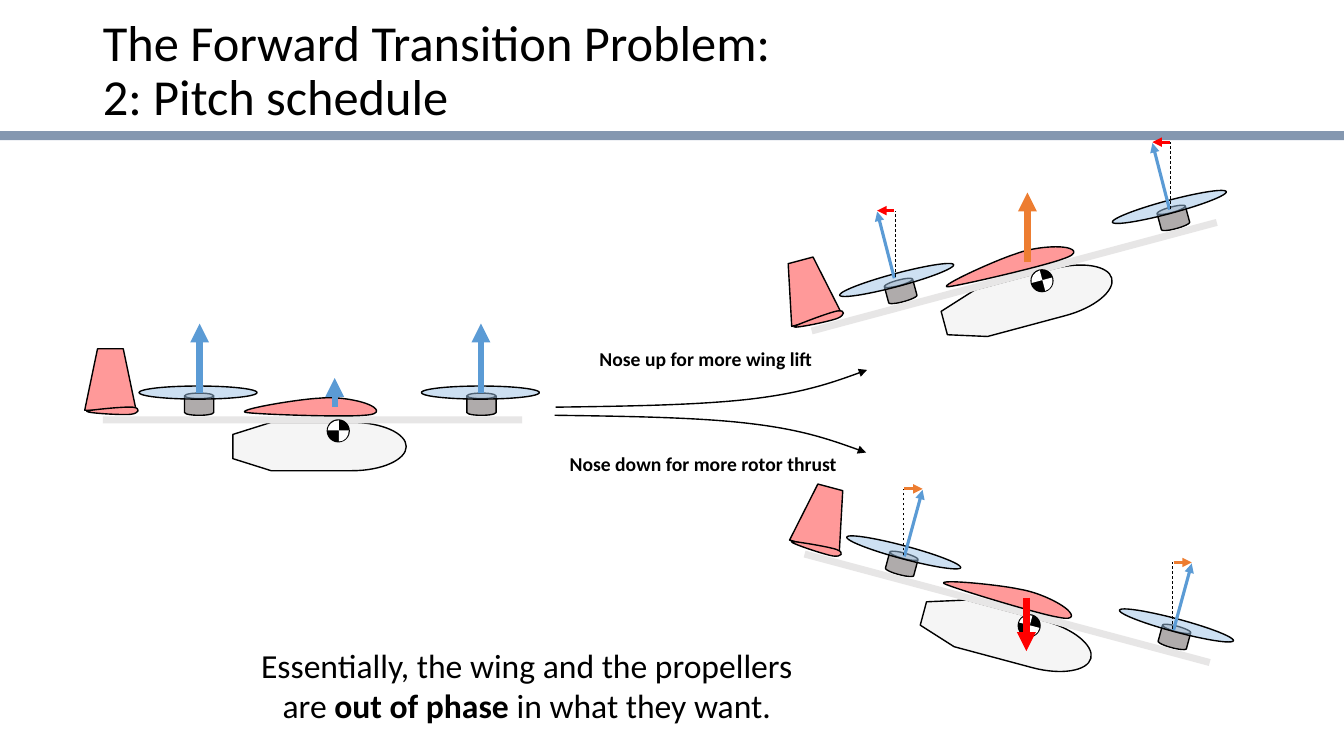
import math
from lxml import etree
from pptx import Presentation
from pptx import util as u
from pptx.dml.color import RGBColor
from pptx.enum import dml, shapes, text
from pptx.oxml.ns import qn

G = shapes.MSO_SHAPE
BLACK, WHITE, PINK, BLUE, ORANGE, RED = "000000", "FFFFFF", "FF9999", "5B9BD5", "ED7D31", "FF0000"
BOOM = (1.02, 4.13, 4.16, 0.07)
ROTOR_GAP = 2.8
FUSELAGE = [[(2.69, 4.19), (3.49, 4.19), (3.79, 4.19, 4.03, 4.3, 4.03, 4.43),
             (4.03, 4.56, 3.79, 4.67, 3.49, 4.67), (2.69, 4.67), (2.31, 4.55), (2.31, 4.31)]]
TAILPLANE = [[(0.86, 4.08), (0.86, 4.1, 1.23, 4.12, 1.3, 4.11),
              (1.38, 4.1, 1.4, 4.05, 1.32, 4.04), (1.25, 4.03, 0.86, 4.07, 0.86, 4.08)]]
WING = [[(2.43, 4.09), (2.51, 4.11, 3.41, 4.14, 3.61, 4.12), (3.81, 4.11, 3.73, 4.04, 3.65, 4.01),
         (3.58, 3.98, 3.37, 3.93, 3.17, 3.95), (2.96, 3.96, 2.36, 4.06, 2.43, 4.09)]]
QUARTERS = [[(3.36, 4.27), (3.36, 4.17), (3.3, 4.17, 3.25, 4.22, 3.25, 4.27)],
            [(3.46, 4.27), (3.36, 4.27), (3.36, 4.38), (3.42, 4.38, 3.46, 4.33, 3.46, 4.27)]]


def color(value):
    return RGBColor.from_string(value)


def inches(*values):
    return [u.Inches(v) for v in values]


def style(sp, fill=None, line=None, alpha=None):
    sp.shadow.inherit = False
    if fill:
        sp.fill.solid()
        sp.fill.fore_color.rgb = color(fill)
        if alpha:
            clr = sp._element.spPr.find(".//" + qn("a:srgbClr"))
            etree.SubElement(clr, qn("a:alpha")).set("val", str(alpha * 1000))
    else:
        sp.fill.background()
    if line:
        sp.line.color.rgb = color(line)
        sp.line.width = u.Pt(1)
    else:
        sp.line.fill.background()
    return sp


def arrowhead(sp):
    ln = sp._element.spPr.find(qn("a:ln"))
    etree.SubElement(ln, qn("a:tailEnd")).set("type", "triangle")


def preset(parent, kind, box, fill, line=None, alpha=None):
    return style(parent.add_shape(kind, *inches(*box)), fill, line, alpha)


def segment(geom, tag, coords, left, top):
    el = etree.SubElement(geom, qn(tag))
    for x, y in zip(coords[::2], coords[1::2]):
        pt = etree.SubElement(el, qn("a:pt"))
        pt.set("x", str(u.Inches(x - left)))
        pt.set("y", str(u.Inches(y - top)))


def outline(parent, box, contours, fill=None, line=None):
    builder = parent.build_freeform(*inches(*contours[0][0]))
    builder.add_line_segments([inches(*c[-2:]) for c in contours[0][1:]], close=bool(fill))
    sp = builder.convert_to_shape()
    sp.left, sp.top, sp.width, sp.height = inches(*box)
    geom = sp._element.spPr.find(".//" + qn("a:path"))
    for el in list(geom):
        geom.remove(el)
    geom.set("w", str(sp.width))
    geom.set("h", str(sp.height))
    for start, *curves in contours:
        segment(geom, "a:moveTo", start, *box[:2])
        for c in curves:
            segment(geom, "a:lnTo" if len(c) == 2 else "a:cubicBezTo", c, *box[:2])
        if fill:
            etree.SubElement(geom, qn("a:close"))
    return style(sp, fill, line)


def connector(parent, start, end, rgb, width, dashed=False):
    sp = parent.add_connector(shapes.MSO_CONNECTOR.STRAIGHT, *inches(*start, *end))
    sp.line.color.rgb = color(rgb)
    sp.line.width = u.Pt(width)
    etree.SubElement(sp._element.spPr, qn("a:effectLst"))
    if dashed:
        sp.line.dash_style = dml.MSO_LINE.DASH
    else:
        arrowhead(sp)


def pose(sp, left, top, angle):
    a = math.radians(angle)
    half_w, half_h = inches(BOOM[2] / 2, BOOM[3] / 2)
    dx = sp.left + sp.width / 2 - u.Inches(BOOM[0]) - half_w
    dy = sp.top + sp.height / 2 - u.Inches(BOOM[1]) - half_h
    x = u.Inches(left) + half_w + dx * math.cos(a) - dy * math.sin(a)
    y = u.Inches(top) + half_h + dx * math.sin(a) + dy * math.cos(a)
    sp.left, sp.top = round(x - sp.width / 2), round(y - sp.height / 2)
    sp.rotation = angle


def aircraft(s, left=BOOM[0], top=BOOM[1], angle=0):
    g = s.shapes.add_group_shape().shapes
    parts = [outline(g, (2.31, 4.19, 1.73, 0.48), FUSELAGE, "F5F5F5", BLACK),
             preset(g, G.TRAPEZOID, (0.84, 3.46, 0.51, 0.61), PINK, BLACK)]
    parts += [preset(g, G.CAN, (1.83 + dx, 3.9, 0.29, 0.22), "AFABAB", BLACK) for dx in (0, ROTOR_GAP)]
    parts.append(preset(g, G.RECTANGLE, BOOM, "E7E6E6"))
    parts += [preset(g, G.OVAL, (1.38 + dx, 3.83, 1.17, 0.13), "9DC3E6", BLACK, 50)
              for dx in (ROTOR_GAP, 0)]
    parts += [outline(g, (0.86, 4.04, 0.51, 0.07), TAILPLANE, PINK, BLACK),
              outline(g, (2.43, 3.95, 1.31, 0.18), WING, PINK, BLACK),
              preset(g, G.OVAL, (3.24, 4.16, 0.23, 0.23), BLACK),
              outline(g, (3.25, 4.17, 0.21, 0.21), QUARTERS, WHITE)]
    for sp in parts:
        pose(sp, left, top, angle)
    return g


def tilted_thrust(g, x, y, lean, rgb):
    connector(g, (x, y), (x + lean, y - 0.66), BLUE, 2.25)
    connector(g, (x, y - 0.67), (x + lean, y - 0.67), rgb, 2.25)
    plumb = x - math.copysign(0.01, lean)
    connector(g, (plumb, y - 0.01), (plumb, y - 0.67), BLACK, 0.5, True)


def path_arrow(s, box, start, *curves):
    arrowhead(outline(s.shapes, box, [[start, *curves]], line=BLACK))


def add_run(p, content, size, bold=False):
    r = p.add_run()
    r.text = content
    r.font.name, r.font.size, r.font.bold = "Calibri", u.Pt(size), bold
    r.font.color.rgb = color(BLACK)


def label(s, box, size, *runs):
    sp = s.shapes.add_textbox(*inches(*box))
    tf = sp.text_frame
    tf.word_wrap = True
    tf.auto_size = text.MSO_AUTO_SIZE.SHAPE_TO_FIT_TEXT
    p = tf.paragraphs[0]
    p.alignment = text.PP_ALIGN.CENTER
    for content, bold in runs:
        add_run(p, content, size, bold)


def title(s, *lines):
    sp = s.shapes.title
    sp.left, sp.top, sp.width, sp.height = inches(0.92, 0.2, 11.5, 1.03)
    tf = sp.text_frame
    tf.word_wrap = True
    tf.auto_size = text.MSO_AUTO_SIZE.NONE
    tf.vertical_anchor = text.MSO_ANCHOR.MIDDLE
    p = tf.paragraphs[0]
    p.alignment = text.PP_ALIGN.LEFT
    p.line_spacing = 0.9
    for i, line in enumerate(lines):
        if i:
            p.add_line_break()
        add_run(p, line, 36)


def main():
    prs = Presentation()
    prs.slide_width, prs.slide_height = inches(13.33, 7.5)
    s = prs.slides.add_slide(prs.slide_layouts[5])
    title(s, "The Forward Transition Problem:", "2: Pitch schedule")
    preset(s.shapes, G.RECTANGLE, (0, 1.3, 13.33, 0.09), "8497B0")

    level = aircraft(s)
    for x, y, tip in ((3.32, 4.04, 3.75), (1.98, 3.9, 3.21), (4.77, 3.9, 3.21)):
        connector(level, (x, y), (x, tip), BLUE, 4.5)

    nose_up = aircraft(s, 7.98, 2.71, -15)
    connector(nose_up, (10.19, 2.6), (10.19, 1.91), ORANGE, 4.5)
    for x, y in ((8.87, 2.76), (11.6, 2.08)):
        tilted_thrust(nose_up, x, y, -0.17, RED)

    nose_down = aircraft(s, 7.91, 6, 15)
    connector(nose_down, (10.18, 5.93), (10.18, 6.46), RED, 4.5)
    for x, y in ((8.97, 5.52), (11.64, 6.25)):
        tilted_thrust(nose_down, x, y, 0.18, ORANGE)

    path_arrow(s, (5.51, 3.67, 3.09, 0.36), (5.51, 4.04),
               (6.22, 4.03, 6.92, 4.02, 7.44, 3.96), (7.95, 3.9, 8.28, 3.79, 8.6, 3.67))
    path_arrow(s, (5.5, 4.12, 3.09, 0.36), (5.5, 4.12),
               (6.2, 4.13, 6.91, 4.14, 7.42, 4.2), (7.94, 4.26, 8.26, 4.37, 8.59, 4.49))

    label(s, (5.49, 3.39, 3.02, 0.34), 14, ("Nose up for more wing lift", True))
    label(s, (5.19, 4.43, 3.57, 0.34), 14, ("Nose down for more rotor thrust", True))
    label(s, (2.25, 6.35, 5.95, 0.91), 24, ("Essentially, the wing and the propellers are ", False),
          ("out of phase ", True), ("in what they want.", False))
    prs.save("out.pptx")


if __name__ == "__main__":
    main()
